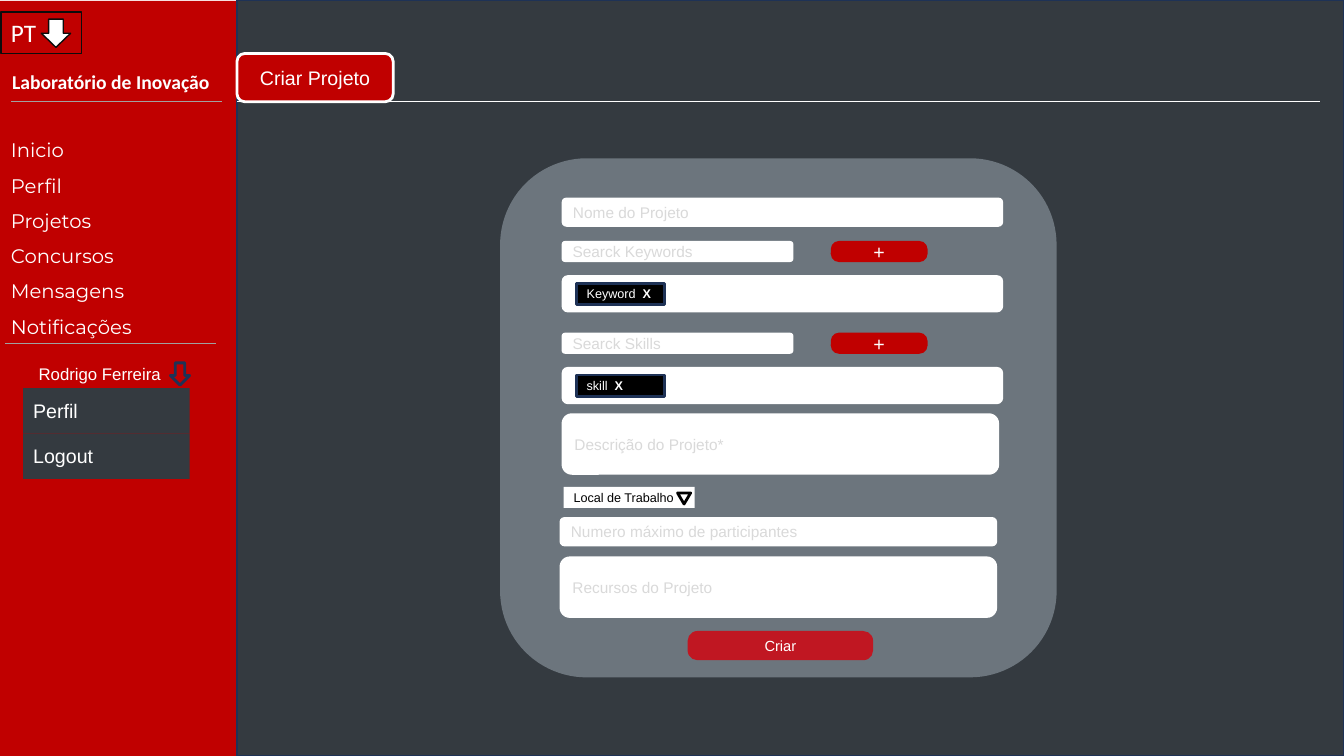
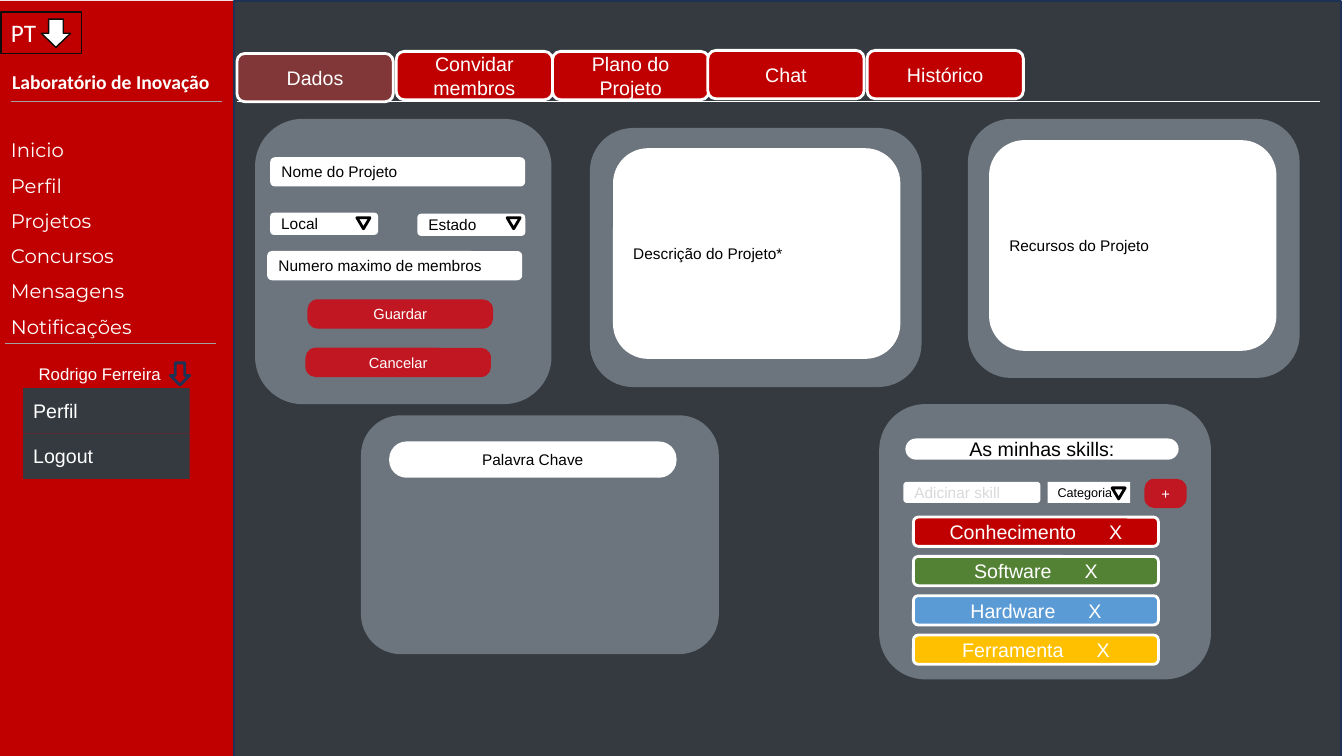
from dataclasses import dataclass, replace
from typing import Optional

from lxml import etree
from pptx import Presentation
from pptx.dml.color import RGBColor
from pptx.enum.shapes import MSO_CONNECTOR, MSO_SHAPE
from pptx.enum.text import MSO_ANCHOR, PP_ALIGN
from pptx.oxml.ns import qn
from pptx.util import Inches, Pt

RECT = MSO_SHAPE.RECTANGLE
ROUND = MSO_SHAPE.ROUNDED_RECTANGLE
DOWN_ARROW = MSO_SHAPE.DOWN_ARROW
TRIANGLE = MSO_SHAPE.FLOWCHART_MERGE
STRAIGHT = MSO_CONNECTOR.STRAIGHT
LEFT, CENTER = PP_ALIGN.LEFT, PP_ALIGN.CENTER
MIDDLE = MSO_ANCHOR.MIDDLE

WHITE, BLACK, INK = "FFFFFF", "000000", "0C0C0C"
RED, CRIMSON, MAROON = "C00000", "C01722", "813737"
DARK, SLATE, NAVY = "343A40", "6C757D", "1E3256"
HINT, RULE = "D9D9D9", "A1A1A1"
GREEN, BLUE, AMBER = "548235", "5B9BD5", "FFC000"


@dataclass(frozen=True)
class Style:
    geometry: Optional[int] = ROUND
    fill: Optional[str] = None
    line: Optional[str] = None
    line_width: float = 2
    corner: Optional[float] = None
    size: float = 11
    color: str = WHITE
    font: str = "Arial"
    bold: bool = False
    align: int = LEFT
    spacing: Optional[float] = None


@dataclass(frozen=True)
class Box:
    left: float
    top: float
    width: float
    height: float
    style: Style
    text: str = ""
    mark: str = ""
    mark_gap: float = 0
    mark_bold: bool = False


@dataclass(frozen=True)
class Rule:
    start: float
    end: float
    top: float
    color: str


SIDEBAR = Style(RECT, RED)
NAVIGATION = replace(SIDEBAR, size=14, font="Montserrat", spacing=1.5)
LANGUAGE = replace(SIDEBAR, line=INK, line_width=1, size=18, font="Calibri")
LANGUAGE_ARROW = Style(DOWN_ARROW, WHITE, INK, 1)
BRAND = Style(ROUND, RED, size=14, font="Calibri", bold=True, align=CENTER)
USER = Style(None, size=12, align=CENTER)
USER_ARROW = Style(DOWN_ARROW, line=NAVY)
MENU = Style(RECT, DARK, size=14)
PAGE = Style(RECT, DARK, NAVY)
TAB = Style(ROUND, RED, WHITE, size=14, align=CENTER)
ACTIVE_TAB = replace(TAB, fill=MAROON)
PANEL = Style(ROUND, SLATE)
BUTTON = Style(ROUND, CRIMSON, corner=0.34, size=10.5, align=CENTER)
ADD_BUTTON = Style(ROUND, RED, corner=0.39, size=14, align=CENTER)
FIELD = Style(ROUND, WHITE, color=BLACK)
HINT_FIELD = replace(FIELD, color=HINT)
KEYWORD_FIELD = replace(FIELD, corner=0.48, align=CENTER)
SKILLS_TITLE = replace(FIELD, corner=0.5, size=14, align=CENTER)
DROPDOWN = Style(RECT, WHITE, size=9, color=BLACK)
DROPDOWN_ARROW = Style(TRIANGLE, WHITE, BLACK)
TAG = Style(RECT, BLACK, NAVY, size=9)

SIDEBAR_BOXES = [
    Box(0, 0.01, 2.35, 7.49, SIDEBAR),
    Box(0.01, 1.01, 2.2, 2.59, NAVIGATION,
        "Inicio\nPerfil\nProjetos\nConcursos\nMensagens\nNotificações"),
    Box(0.01, 0.12, 0.8, 0.41, LANGUAGE, "PT"),
    Box(0.41, 0.19, 0.29, 0.28, LANGUAGE_ARROW),
    Box(0, 0.61, 2.2, 0.41, BRAND, "Laboratório de Inovação"),
    Box(0.11, 3.56, 1.76, 0.29, USER, "Rodrigo Ferreira"),
    Box(1.69, 3.6, 0.19, 0.22, USER_ARROW),
    Box(0.23, 3.85, 1.65, 0.45, MENU, "Perfil"),
    Box(0.23, 4.3, 1.65, 0.45, MENU, "Logout"),
]
SIDEBAR_RULES = [Rule(0.11, 2.2, 1.01, RULE), Rule(0.05, 2.14, 3.41, RULE)]
PAGE_RULE = Rule(2.35, 13.09, 1.01, WHITE)


def tab(left: float, top: float, label: str, style: Style = TAB) -> Box:
    return Box(left, top, 1.55, 0.48, style, label)


def button(left: float, top: float, label: str, width: float = 1.84) -> Box:
    return Box(left, top, width, 0.29, BUTTON, label)


def dropdown_arrow(left: float, top: float) -> Box:
    return Box(left, top, 0.13, 0.11, DROPDOWN_ARROW)


def tag_picker(top: float, hint: str, tag: str) -> list[Box]:
    return [
        Box(5.57, top, 2.3, 0.21, HINT_FIELD, hint),
        Box(8.24, top, 0.96, 0.21, ADD_BUTTON, "+"),
        Box(5.57, top + 0.34, 4.38, 0.37, FIELD),
        Box(5.72, top + 0.42, 0.87, 0.21, TAG, tag, "X", 2.5, True),
    ]


CREATE_PROJECT = [
    tab(2.35, 0.53, "Criar Projeto"),
    Box(4.96, 1.57, 5.52, 5.15, PANEL),
    Box(5.57, 1.96, 4.38, 0.29, HINT_FIELD, "Nome do Projeto"),
    *tag_picker(2.39, "Searck Keywords", "Keyword"),
    *tag_picker(3.3, "Searck Skills", "skill"),
    Box(5.57, 4.1, 4.34, 0.61, HINT_FIELD, "Descrição do Projeto*"),
    Box(5.59, 4.83, 1.3, 0.21, DROPDOWN, "Local de Trabalho"),
    dropdown_arrow(6.72, 4.89),
    Box(5.55, 5.13, 4.34, 0.29, HINT_FIELD, "Numero máximo de participantes"),
    Box(5.55, 5.52, 4.34, 0.61, HINT_FIELD, "Recursos do Projeto"),
    button(6.82, 6.26, "Criar"),
]

SKILLS = [("Conhecimento", RED), ("Software", GREEN),
          ("Hardware", BLUE), ("Ferramenta", AMBER)]

PROJECT_DATA = [
    tab(2.35, 0.53, "Dados", ACTIVE_TAB),
    tab(3.93, 0.51, "Convidar membros"),
    tab(5.48, 0.51, "Plano do Projeto"),
    tab(7.02, 0.5, "Chat"),
    tab(8.6, 0.5, "Histórico"),
    Box(2.53, 1.18, 2.94, 2.83, PANEL),
    Box(2.68, 1.56, 2.53, 0.29, FIELD, "Nome do Projeto"),
    Box(2.68, 2.11, 1.07, 0.22, FIELD, "Local"),
    dropdown_arrow(3.54, 2.16),
    Box(4.14, 2.12, 1.07, 0.22, FIELD, "Estado"),
    dropdown_arrow(5.03, 2.16),
    Box(2.65, 2.49, 2.53, 0.29, FIELD, "Numero maximo de membros"),
    button(3.05, 2.97, "Guardar"),
    button(3.03, 3.45, "Cancelar"),
    Box(5.85, 1.27, 3.29, 2.57, PANEL),
    Box(6.08, 1.47, 2.85, 2.09, FIELD, "Descrição do Projeto*"),
    Box(9.6, 1.18, 3.29, 2.57, PANEL),
    Box(9.81, 1.39, 2.85, 2.09, FIELD, "Recursos do Projeto"),
    Box(3.58, 4.12, 3.55, 2.37, PANEL),
    Box(3.86, 4.38, 2.85, 0.36, KEYWORD_FIELD, "Palavra Chave"),
    Box(8.72, 4.01, 3.29, 2.73, PANEL),
    Box(8.98, 4.35, 2.71, 0.21, SKILLS_TITLE, "As minhas skills:"),
    Box(8.96, 4.78, 1.36, 0.21, HINT_FIELD, "Adicinar skill"),
    Box(10.39, 4.78, 0.82, 0.21, DROPDOWN, "Categoria"),
    dropdown_arrow(11.03, 4.84),
    button(11.35, 4.75, "+", 0.42),
    *[Box(9.06, 5.13 + 0.39 * row, 2.43, 0.29, replace(TAB, fill=color),
          skill, "X", 19.5)
      for row, (skill, color) in enumerate(SKILLS)],
]


def rgb(color: str) -> RGBColor:
    return RGBColor.from_string(color)


def add_run(paragraph, text: str, style: Style, bold: bool,
            letter_gap: float = 0) -> None:
    run = paragraph.add_run()
    run.text = text
    formats = {"size": Pt(style.size), "name": style.font, "bold": bold}
    for attribute, value in formats.items():
        setattr(run.font, attribute, value)
    run.font.color.rgb = rgb(style.color)
    if letter_gap:
        run._r.get_or_add_rPr().set("spc", str(round(letter_gap * 100)))


def write_text(frame, box: Box) -> None:
    style = box.style
    frame.word_wrap = True
    frame.vertical_anchor = MIDDLE
    for index, line in enumerate(box.text.split("\n")):
        paragraph = frame.add_paragraph() if index else frame.paragraphs[0]
        paragraph.alignment = style.align
        paragraph.line_spacing = style.spacing
        add_run(paragraph, line, style, style.bold)
        if box.mark:
            add_run(paragraph, " ", style, style.bold, box.mark_gap)
            add_run(paragraph, box.mark, style, box.mark_bold)


def draw_box(slide, box: Box) -> None:
    style = box.style
    place = [Inches(n) for n in (box.left, box.top, box.width, box.height)]
    if style.geometry is None:
        shape = slide.shapes.add_textbox(*place)
    else:
        shape = slide.shapes.add_shape(style.geometry, *place)
        shape.shadow.inherit = False
    if style.corner is not None:
        shape.adjustments[0] = style.corner
    for paint, color in ((shape.fill, style.fill), (shape.line.fill, style.line)):
        if color:
            paint.solid()
            paint.fore_color.rgb = rgb(color)
        else:
            paint.background()
    if style.line:
        shape.line.width = Pt(style.line_width)
    if box.text:
        write_text(shape.text_frame, box)


def draw_rule(slide, rule: Rule) -> None:
    connector = slide.shapes.add_connector(
        STRAIGHT, Inches(rule.start), Inches(rule.top),
        Inches(rule.end), Inches(rule.top))
    connector.line.color.rgb = rgb(rule.color)
    connector.line.width = Pt(0.75)
    etree.SubElement(connector._element.spPr, qn("a:effectLst"))


def build_slide(deck, page: Box, content: list[Box]) -> None:
    slide = deck.slides.add_slide(deck.slide_layouts[6])
    for part in [*SIDEBAR_BOXES, *SIDEBAR_RULES, page, PAGE_RULE, *content]:
        if isinstance(part, Rule):
            draw_rule(slide, part)
        else:
            draw_box(slide, part)


def main() -> None:
    deck = Presentation()
    deck.slide_width, deck.slide_height = Inches(13.33), Inches(7.5)
    build_slide(deck, Box(2.35, 0, 10.98, 7.5, PAGE), CREATE_PROJECT)
    build_slide(deck, Box(2.32, 0.01, 10.98, 7.5, PAGE), PROJECT_DATA)
    deck.save("out.pptx")


if __name__ == "__main__":
    main()
